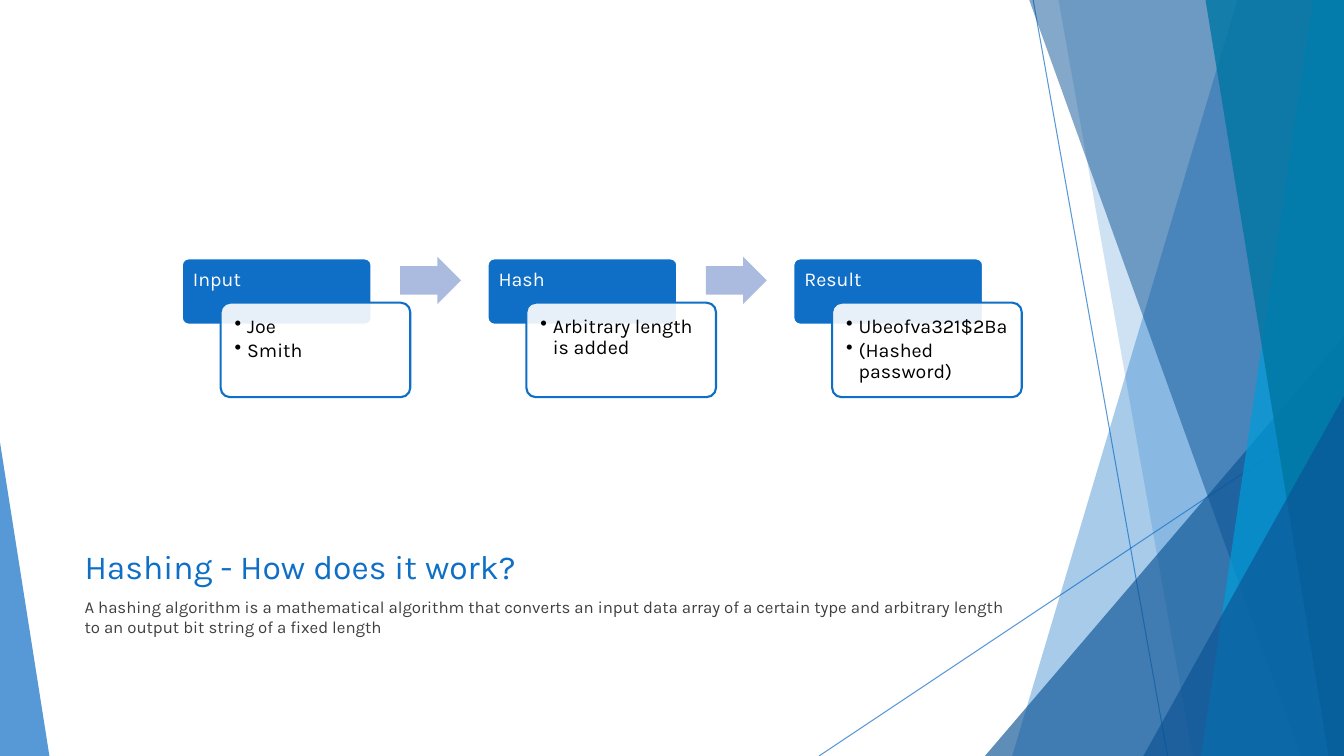
from lxml.etree import SubElement
from pptx import Presentation
from pptx.dml.color import RGBColor
from pptx.enum.shapes import MSO_CONNECTOR, MSO_SHAPE
from pptx.enum.text import MSO_ANCHOR
from pptx.oxml.ns import qn
from pptx.util import Pt

BLUE, NAVY, WHITE = "0F6FC6", "0B5394", "FFFFFF"
TOP, RIGHT, BOTTOM = -0.6, 960, 540
FACETS = [
    [(884, TOP), (RIGHT, TOP), (RIGHT, BOTTOM), (723, BOTTOM)],
    [(756, TOP), (RIGHT, TOP), (RIGHT, BOTTOM), (852, BOTTOM)],
    [(735, TOP), (RIGHT, TOP), (RIGHT, BOTTOM), (929.5, BOTTOM)],
    [(938, TOP), (RIGHT, TOP), (RIGHT, BOTTOM), (858, BOTTOM)],
    [(861, TOP), (RIGHT, TOP), (RIGHT, BOTTOM), (949, BOTTOM)],
]
STEPS = [
    ("Input", ["Joe", "Smith"]),
    ("Hash", ["Arbitrary length is added"]),
    ("Result", ["Ubeofva321$2Ba", "(Hashed password)"]),
]
FIRST_STEP, STEP_PITCH = 129.9, 218.4


def paint(color_format, color, opacity=100):
    color_format.rgb = RGBColor.from_string(color)
    if opacity < 100:
        for tint in color_format._xFill.iter(qn("a:srgbClr")):
            SubElement(tint, qn("a:alpha"), val=str(opacity * 1000))


def style(shape, fill, opacity=100, outline=None):
    shape.shadow.inherit = False
    shape.fill.solid()
    paint(shape.fill.fore_color, fill, opacity)
    if outline:
        paint(shape.line.color, outline)
        shape.line.width = Pt(1.5)
    else:
        shape.line.fill.background()


def add_preset(slide, preset, box, adjustments, fill, **look):
    shape = slide.shapes.add_shape(preset, *map(Pt, box))
    for index, value in enumerate(adjustments):
        shape.adjustments[index] = value
    style(shape, fill, **look)
    return shape


def add_facet(slide, corners, fill, opacity):
    start, *others = [(Pt(x), Pt(y)) for x, y in corners]
    outline = slide.shapes.build_freeform(*start)
    outline.add_line_segments(others, close=True)
    style(outline.convert_to_shape(), fill, opacity)


def add_hairline(slide, *ends):
    hairline = slide.shapes.add_connector(MSO_CONNECTOR.STRAIGHT, *map(Pt, ends))
    hairline.line.width = Pt(0.75)
    hairline.line.fill.solid()
    paint(hairline.line.color, BLUE)
    for tint in hairline.line._ln.iter(qn("a:srgbClr")):
        SubElement(tint, qn("a:alpha"), val="70000")
    SubElement(hairline._element.spPr, qn("a:effectLst"))


def write(shape, *lines, size, color, anchor=MSO_ANCHOR.TOP, insets=(7.2, 3.6, 7.2, 3.6),
          spacing=1.0, after=0, bullet=False):
    frame = shape.text_frame
    frame.word_wrap = True
    frame.vertical_anchor = anchor
    (frame.margin_left, frame.margin_top,
     frame.margin_right, frame.margin_bottom) = map(Pt, insets)
    frame.text = "\n".join(lines)
    for paragraph in frame.paragraphs:
        properties = paragraph._p.get_or_add_pPr()
        properties.set("algn", "l")
        paragraph.line_spacing = spacing
        paragraph.space_after = Pt(after)
        if bullet:
            properties.set("marL", str(Pt(9)))
            properties.set("indent", str(Pt(-9)))
            SubElement(properties, qn("a:buChar"), char="•")
        paragraph.font.size = Pt(size)
        paragraph.font.name = "Karla"
        paint(paragraph.font.color, color)


def add_backdrop(slide):
    add_hairline(slide, 738, 0, 834, BOTTOM)
    add_hairline(slide, RIGHT, 290, 585, BOTTOM)
    triangle = MSO_SHAPE.ISOSCELES_TRIANGLE
    add_facet(slide, FACETS[0], BLUE, 36)
    add_facet(slide, FACETS[1], BLUE, 20)
    add_preset(slide, triangle, (703.5, 240, 256.5, 300), [1], NAVY, opacity=66)
    add_facet(slide, FACETS[2], NAVY, 50)
    add_facet(slide, FACETS[3], "009DD9", 70)
    add_facet(slide, FACETS[4], "0076A3", 80)
    add_preset(slide, triangle, (816.7, 283, 143.3, 257), [1], NAVY, opacity=66)
    add_preset(slide, triangle, (0, 316, 35.3, 224), [0], BLUE, opacity=70)


def add_step(slide, left, heading, details):
    rounded = MSO_SHAPE.ROUNDED_RECTANGLE
    header = add_preset(slide, rounded, (left, 184.6, 135.5, 47.3), [0.1], BLUE, outline=WHITE)
    write(header, heading, size=14, color=WHITE, insets=(6.5, 6.5, 6.5, 4), spacing=0.9)
    card = add_preset(slide, rounded, (left + 27.7, 216.2, 135.5, 67.5), [0.1], WHITE,
                      opacity=90, outline=BLUE)
    write(card, *details, size=14, color="000000", insets=(8, 8, 5, 8),
          spacing=0.9, after=2.1, bullet=True)


def add_caption(slide, box, wording, **text_format):
    write(slide.shapes.add_textbox(*map(Pt, box)), wording, **text_format)


def main():
    deck = Presentation()
    deck.slide_width, deck.slide_height = Pt(960), Pt(540)
    slide = deck.slides.add_slide(deck.slide_layouts[6])
    add_backdrop(slide)
    add_caption(slide, (53.3, 378, 677, 44.6), "Hashing - How does it work?",
                size=24, color=BLUE, anchor=MSO_ANCHOR.BOTTOM)
    add_caption(slide, (53.3, 422.6, 677, 53.3),
                "A hashing algorithm is a mathematical algorithm that converts an input data "
                "array of a certain type and arbitrary length to an output bit string of a "
                "fixed length", size=12, color="404040")
    for index, (heading, details) in enumerate(STEPS):
        left = FIRST_STEP + index * STEP_PITCH
        add_step(slide, left, heading, details)
        if index < len(STEPS) - 1:
            add_preset(slide, MSO_SHAPE.RIGHT_ARROW, (left + 155.9, 183.4, 43.6, 33.8),
                       [0.6, 0.5], "ABBBDF")
    deck.save("out.pptx")


if __name__ == "__main__":
    main()
